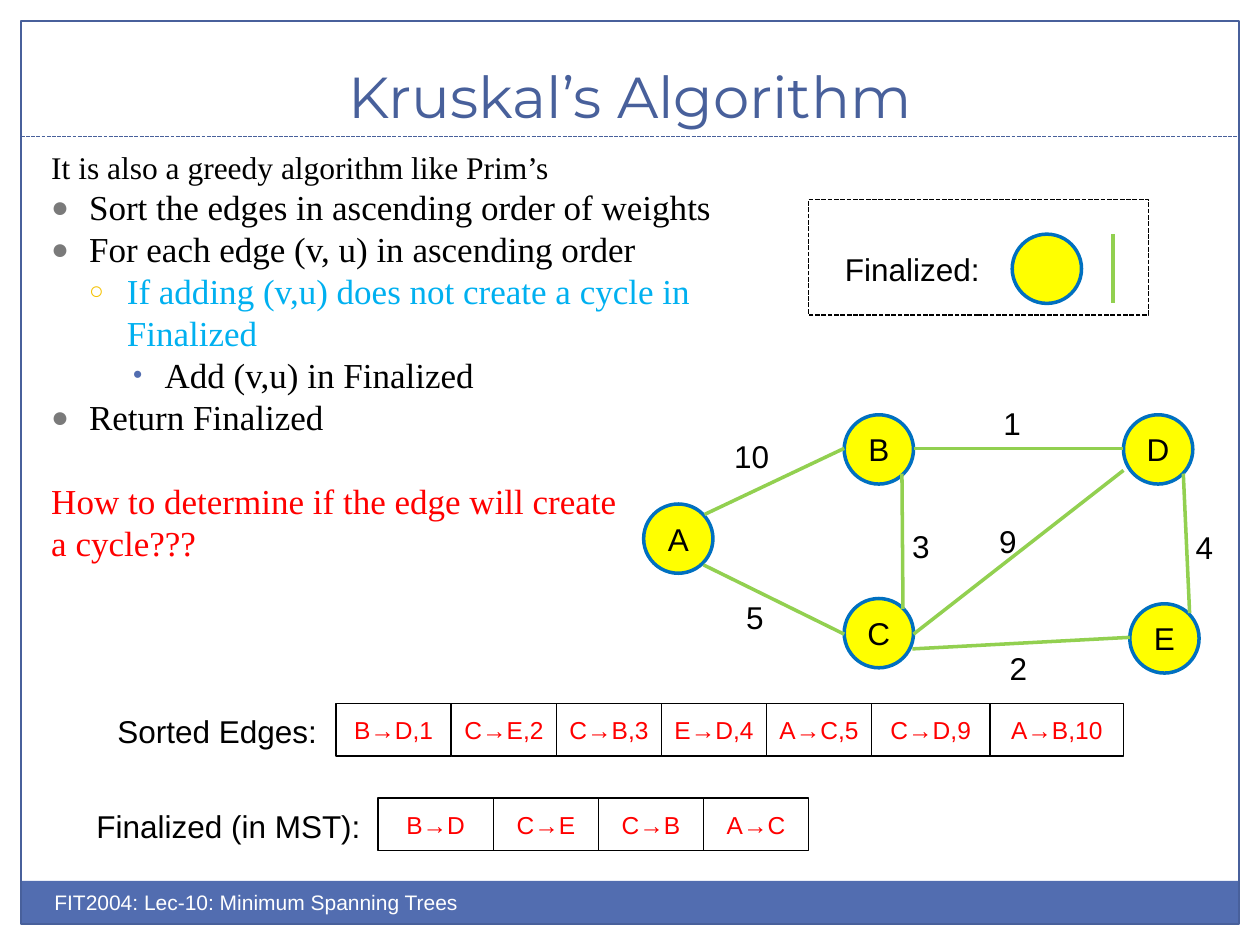
"""Build the Kruskal's Algorithm slide on a grid of 120 columns by 90 rows."""
from itertools import accumulate
from typing import NamedTuple, Optional

from lxml import etree
from pptx import Presentation, util as u
from pptx.dml.color import RGBColor
from pptx.enum import dml, shapes, text
from pptx.oxml.ns import qn

CELL = u.Inches(10) / 120
NODE_SIZE = 6.6
BLACK, WHITE, RED, SKY = "000000", "FFFFFF", "FF0000", "00B0F0"
NAVY, BLUE, YELLOW, RING, GREEN = "48609B", "526DB0", "FFFF00", "0070C0", "92D050"
SANS, SERIF, DISPLAY = "Arial", "Times New Roman", "Montserrat"
LEFT, CENTER = text.PP_ALIGN.LEFT, text.PP_ALIGN.CENTER
TOP, MIDDLE, BOTTOM = (text.MSO_ANCHOR.TOP, text.MSO_ANCHOR.MIDDLE,
                       text.MSO_ANCHOR.BOTTOM)
RECT, OVAL = shapes.MSO_SHAPE.RECTANGLE, shapes.MSO_SHAPE.OVAL


class Node(NamedTuple):
    name: str
    col: float
    row: float


class Edge(NamedTuple):
    start: tuple[float, float]
    end: tuple[float, float]
    weight: str
    label: tuple[float, float]  # centre of the weight


class EdgeRow(NamedTuple):
    caption: str
    caption_col: float
    col: float
    row: float
    edges: list[str]
    widths: list[float]


class Bullet(NamedTuple):
    mark: str
    color: str
    percent: int
    left: float
    hanging: float


class Line(NamedTuple):
    words: str
    bullet: Optional[Bullet] = None
    color: str = BLACK
    size: int = 20
    before: int = 0


DISC = Bullet("●", "7A7A7A", 85, 0.3, 0.3)
CIRCLE = Bullet("○", "F5C201", 70, 0.6, 0.3)
DOT = Bullet("•", BLUE, 75, 0.9, 0.25)

STEPS = [
    Line("It is also a greedy algorithm like Prim’s", size=18),
    Line("Sort the edges in ascending order of weights", DISC),
    Line("For each edge (v, u) in ascending order", DISC),
    Line("If adding (v,u) does not create a cycle in Finalized", CIRCLE, SKY),
    Line("Add (v,u) in Finalized", DOT),
    Line("Return Finalized", DISC),
    Line("How to determine if the edge will create", color=RED, before=24),
    Line("a cycle???", color=RED),
]
NODES = [Node("A", 61.3, 48), Node("B", 80.4, 39.5), Node("C", 80.4, 57),
         Node("D", 107, 39.5), Node("E", 107.6, 57.5)]
EDGES = [
    Edge((67.1, 49), (80.4, 42.7), "10", (71.6, 43.4)),
    Edge((67, 53.8), (80.4, 60.4), "5", (71.9, 58.8)),
    Edge((87, 42.7), (107, 42.7), "1", (96.4, 40.3)),
    Edge((113.3, 58.4), (112.7, 45.1), "4", (114.7, 52.1)),
    Edge((87, 60.4), (107, 44.8), "9", (96, 51.5)),
    Edge((86, 58), (85.9, 45.1), "3", (87.7, 52)),
    Edge((86.9, 61.8), (107.6, 60.7), "2", (97, 63.6)),
]
EDGE_ROWS = [
    EdgeRow("Sorted Edges:", 10, 32, 67,
            ["B→D,1", "C→E,2", "C→B,3", "E→D,4", "A→C,5", "C→D,9", "A→B,10"],
            [11, 10, 10, 10, 10, 11.3, 12.7]),
    EdgeRow("Finalized (in MST):", 8, 36, 76,
            ["B→D", "C→E", "C→B", "A→C"], [11, 10, 10, 10]),
]

deck = Presentation()
deck.slide_width, deck.slide_height = u.Inches(10), u.Inches(7.5)
page = deck.slides.add_slide(deck.slide_layouts[6])


def grid(*cells: float) -> list[u.Emu]:
    """Turn grid units into lengths."""
    return [u.Emu(round(cell * CELL)) for cell in cells]


def paint(target, color: str) -> None:
    """Give a fill, line or font its colour from a hex string."""
    if hasattr(target, "solid"):
        target.solid()
        target = target.fore_color
    else:
        target = target.color
    target.rgb = RGBColor.from_string(color)


def format_runs(para, size: float, color: str, font: str) -> None:
    """Set size, colour and font on every run of a paragraph."""
    for span in para.runs:
        span.font.size, span.font.name = u.Pt(size), font
        paint(span.font, color)


def write(box, words: str, size: float = 18, color: str = BLACK,
          font: str = SANS, align=CENTER, anchor=MIDDLE) -> None:
    """Put one paragraph of text in a shape."""
    frame = box.text_frame
    frame.text, frame.vertical_anchor = words, anchor
    frame.paragraphs[0].alignment = align
    format_runs(frame.paragraphs[0], size, color, font)


def add_text(words: str, col: float, row: float, width: float,
             height: float = 4.8, **style):
    """Add a text box with one paragraph."""
    box = page.shapes.add_textbox(*grid(col, row, width, height))
    box.text_frame.word_wrap = False
    write(box, words, **style)


def add_box(kind, col: float, row: float, width: float, height: float,
            fill: Optional[str] = None, line: Optional[str] = None,
            weight: float = 1):
    """Add a preset shape with no shadow and no text margins."""
    box = page.shapes.add_shape(kind, *grid(col, row, width, height))
    box.shadow.inherit = False
    if fill:
        paint(box.fill, fill)
    else:
        box.fill.background()
    if line:
        paint(box.line, line)
        box.line.width = u.Pt(weight)
    else:
        box.line.fill.background()
    frame = box.text_frame
    frame.word_wrap = False
    frame.margin_left = frame.margin_right = 0
    frame.margin_top = frame.margin_bottom = 0
    return box


def add_line(start: tuple[float, float], end: tuple[float, float],
             color: str = GREEN, weight: float = 2):
    """Add a straight connector."""
    line = page.shapes.add_connector(shapes.MSO_CONNECTOR.STRAIGHT,
                                     *grid(*start, *end))
    paint(line.line, color)
    line.line.width = u.Pt(weight)
    etree.SubElement(line._element.spPr, qn("a:effectLst"))
    return line


def add_node(col: float, row: float, name: str = "") -> None:
    """Add a yellow graph node."""
    node = add_box(OVAL, col, row, NODE_SIZE, NODE_SIZE, YELLOW, RING, 2)
    if name:
        write(node, name)


def set_bullet(para, bullet: Bullet) -> None:
    """Give a paragraph its bullet and hanging indent."""
    props = para._p.get_or_add_pPr()
    props.set("marL", str(u.Inches(bullet.left)))
    props.set("indent", str(-u.Inches(bullet.hanging)))
    tint = etree.SubElement(props, qn("a:buClr"))
    etree.SubElement(tint, qn("a:srgbClr"), val=bullet.color)
    etree.SubElement(props, qn("a:buSzPct"), val=str(bullet.percent * 1000))
    etree.SubElement(props, qn("a:buFont"), typeface=SANS)
    etree.SubElement(props, qn("a:buChar"), char=bullet.mark)


def add_steps(lines: list[Line]) -> None:
    """Add the outline of the algorithm."""
    frame = page.shapes.add_textbox(*grid(3.7, 13.1, 73.3, 47)).text_frame
    frame.word_wrap = True
    for index, line in enumerate(lines):
        para = frame.add_paragraph() if index else frame.paragraphs[0]
        para.text = line.words
        para.line_spacing, para.space_before = u.Pt(24), u.Pt(line.before)
        format_runs(para, line.size, line.color, SERIF)
        if line.bullet:
            set_bullet(para, line.bullet)


def add_edge_row(row: EdgeRow) -> None:
    """Add a caption and its row of edge cells."""
    add_text(row.caption, row.caption_col, row.row + 0.25,
             row.col - row.caption_col, align=LEFT)
    cols = accumulate(row.widths, initial=row.col)
    for edge, col, width in zip(row.edges, cols, row.widths):
        cell = add_box(RECT, col, row.row, width, 5, line=BLACK)
        write(cell, edge, 14, RED)


add_box(RECT, 2, 83.9, 116, 4.1, fill=BLUE)
add_box(RECT, 2, 2, 116, 86, line=NAVY, weight=0.75)
add_line((2, 13), (118, 13), NAVY, 0.75).line.dash_style = dml.MSO_LINE.SQUARE_DOT
add_text("Kruskal’s Algorithm", 4, 3, 112, 10, size=33, color=NAVY,
         font=DISPLAY, anchor=BOTTOM)
add_text("FIT2004: Lec-10: Minimum Spanning Trees", 4, 84.1, 60, size=12,
         color=WHITE, align=LEFT, anchor=TOP)
add_steps(STEPS)

for node in NODES:
    add_node(node.col, node.row, node.name)
for edge in EDGES:
    add_line(edge.start, edge.end)
    add_text(edge.weight, edge.label[0] - 3, edge.label[1] - 2.4, 6)

for edge_row in EDGE_ROWS:
    add_edge_row(edge_row)

legend = add_box(RECT, 77, 19, 32.4, 11, line=BLACK, weight=0.9)
legend.line.dash_style = dml.MSO_LINE.SQUARE_DOT
add_text("Finalized:", 79.3, 23.2, 15.4, align=LEFT)
add_node(96.4, 22.3)
add_line((106, 22.3), (106, 28.9))

deck.save("out.pptx")
